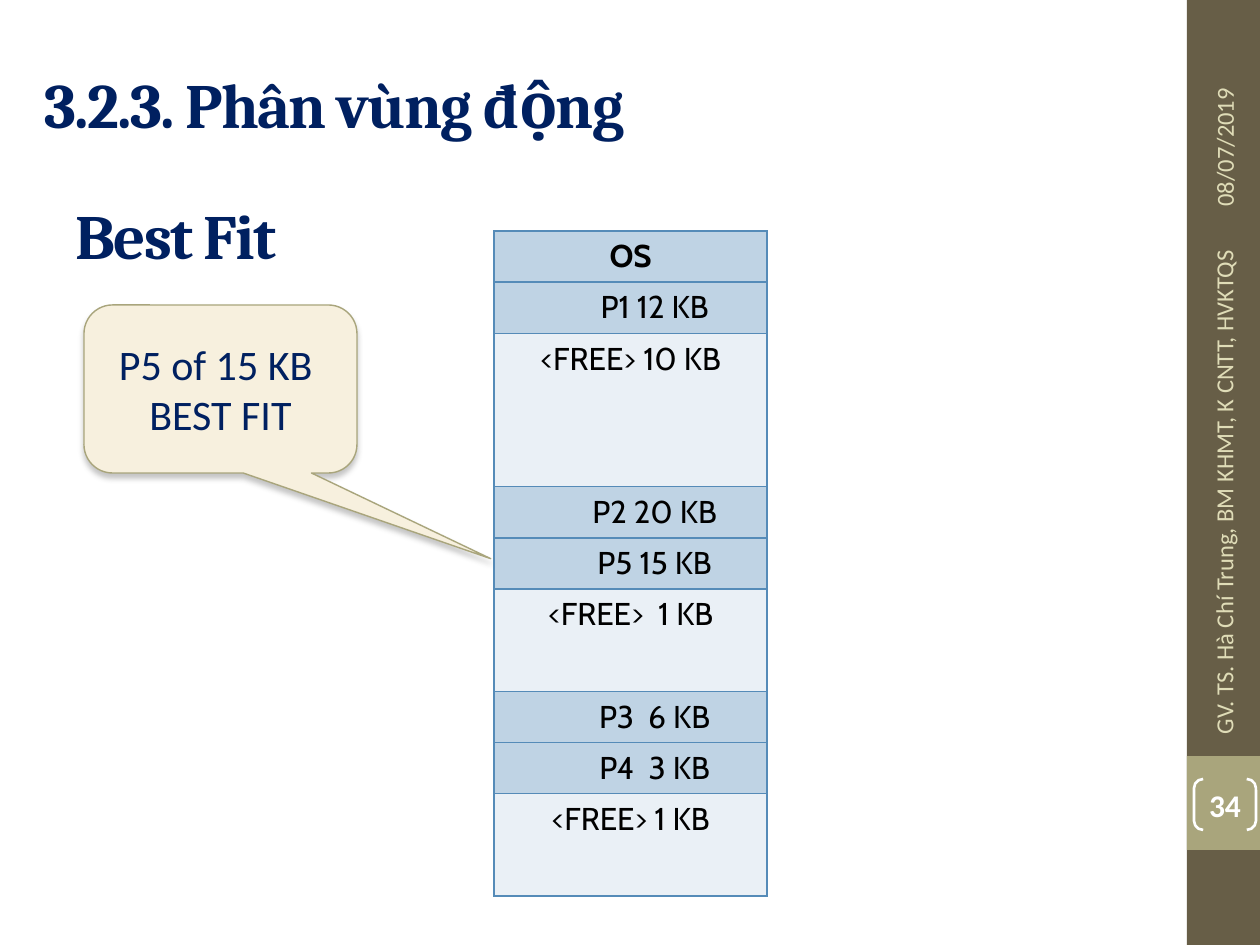
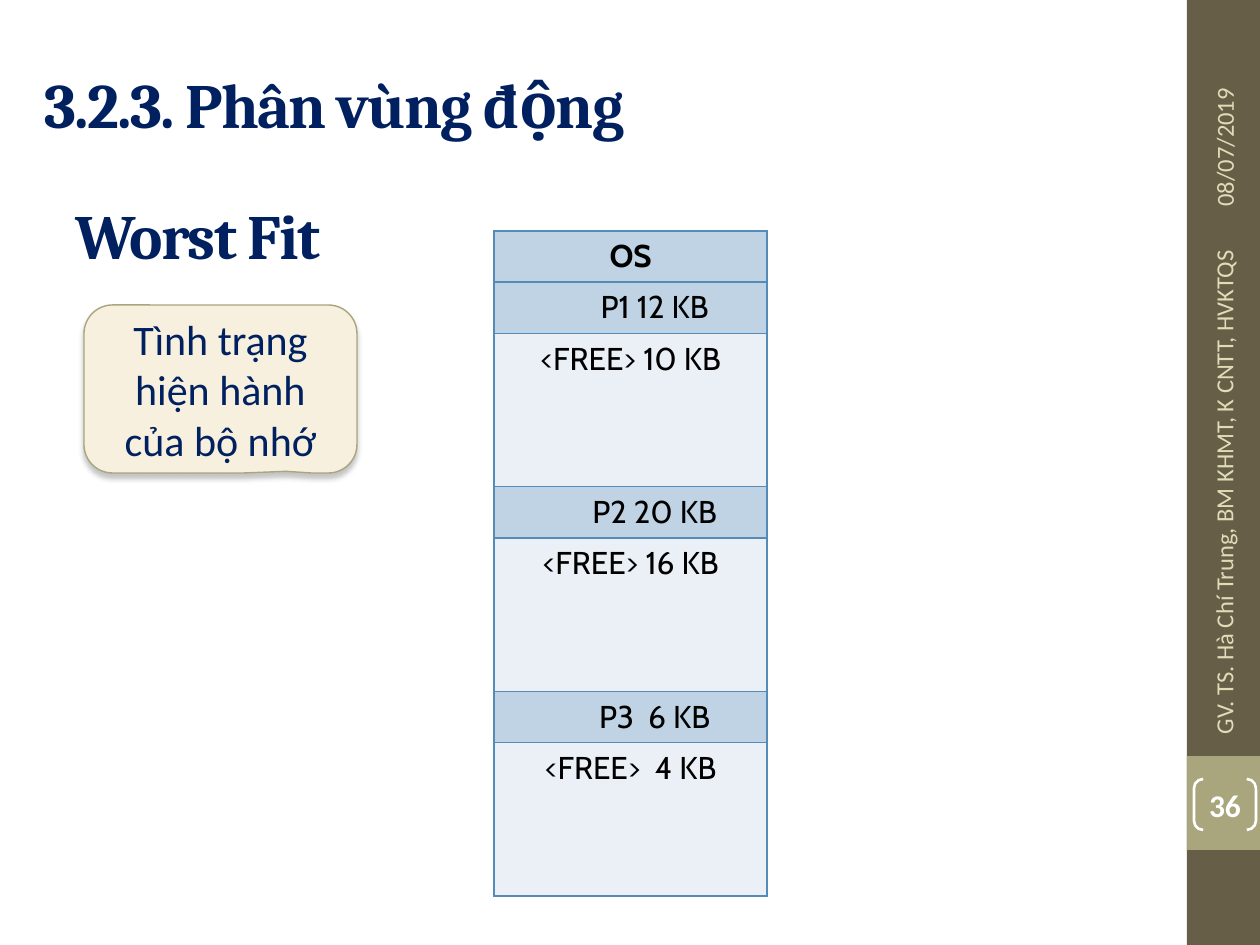
from lxml import etree
from pptx import Presentation
from pptx.dml.color import RGBColor
from pptx.enum.shapes import MSO_SHAPE
from pptx.enum.text import MSO_ANCHOR, PP_ALIGN
from pptx.oxml import parse_xml
from pptx.oxml.ns import nsdecls, qn
from pptx.util import Emu, Pt

RECT = MSO_SHAPE.RECTANGLE
BRACKETS = MSO_SHAPE.DOUBLE_BRACKET
CALLOUT = MSO_SHAPE.ROUNDED_RECTANGULAR_CALLOUT
LEFT, CENTER = PP_ALIGN.LEFT, PP_ALIGN.CENTER
TOP, MIDDLE = MSO_ANCHOR.TOP, MSO_ANCHOR.MIDDLE

PX_PER_INCH = 126
SLIDE_W, SLIDE_H = 1260, 945

NAVY, WHITE, BLACK = "002060", "FFFFFF", "000000"
BAND, ACCENT, FOOTER = "675E47", "A9A57C", "DFDCB7"
CREAM, USED, FREE, GRID = "F7F0DE", "BFD3E4", "EAF0F6", "558BB8"
HEADING_FONT, BODY_FONT, TABLE_FONT = "Cambria", "Calibri", "Cabin"

TITLE = "3.2.3. Phân vùng động"
DATE = "08/07/2019"
AUTHOR = "GV. TS. Hà Chí Trung, BM KHMT, K CNTT, HVKTQS"

# Each memory block: label, number of table rows it spans
SLIDES = [
    {
        "number": "34",
        "method": "Best Fit",
        "note": ["P5 of 15 KB ", "BEST FIT"],
        "pointer": (0.99, 1.01),
        "memory": [
            ("OS", 1), ("P1 12 KB", 1), ("<FREE> 10 KB", 3),
            ("P2 20 KB", 1), ("P5 15 KB", 1), ("<FREE>  1 KB", 2),
            ("P3  6 KB", 1), ("P4  3 KB", 1), ("<FREE> 1 KB", 2),
        ],
    },
    {
        "number": "36",
        "method": "Worst Fit",
        "note": ["Tình trạng hiện hành của bộ nhớ"],
        "pointer": (0.24, 0.49),
        "memory": [
            ("OS", 1), ("P1 12 KB", 1), ("<FREE> 10 KB", 3),
            ("P2 20 KB", 1), ("<FREE> 16 KB", 3),
            ("P3  6 KB", 1), ("<FREE>  4 KB", 3),
        ],
    },
]

TABLE_BOX = (494, 231, 273, 665)
CELL_MARGIN, PROCESS_MARGIN = 13, 61


def px(n):
    return Emu(round(n * 914400 / PX_PER_INCH))


def rgb(color):
    return RGBColor.from_string(color)


def write(tf, lines, font, size, color, bold=False, align=LEFT, anchor=MIDDLE, spacing=0):
    tf.text = "\n".join(lines)
    tf.word_wrap = True
    tf.vertical_anchor = anchor
    for p in tf.paragraphs:
        p.alignment = align
        for r in p.runs:
            r.font.name = font
            r.font.size = Pt(size)
            r.font.bold = bold
            r.font.color.rgb = rgb(color)
            if spacing:
                r._r.get_or_add_rPr().set("spc", str(spacing * 100))


def add_text(s, box, text, *style, rotation=0, **options):
    sp = s.shapes.add_textbox(*map(px, box))
    sp.rotation = rotation
    write(sp.text_frame, [text], *style, **options)


def add_shape(s, kind, box, fill=None, line=None, width=1):
    sp = s.shapes.add_shape(kind, *map(px, box))
    sp.shadow.inherit = False
    if fill:
        sp.fill.solid()
        sp.fill.fore_color.rgb = rgb(fill)
    else:
        sp.fill.background()
    if line:
        sp.line.color.rgb = rgb(line)
        sp.line.width = Pt(width)
    else:
        sp.line.fill.background()
    return sp


def add_heading(s, box, text):
    add_text(s, box, text, HEADING_FONT, 36, NAVY, bold=True, spacing=-1)


def add_side_band(s, number):
    add_shape(s, RECT, (1187, 0, 73, SLIDE_H), BAND)
    add_shape(s, RECT, (1187, 756, 73, 94), ACCENT)
    for box, text in [((1114, 84, 220, 50), DATE), ((961, 459, 525, 50), AUTHOR)]:
        add_text(s, box, text, BODY_FONT, 14, FOOTER, rotation=270)
    sp = add_shape(s, BRACKETS, (1194, 779, 62, 51), line=WHITE, width=1.5)
    sp.adjustments[0] = 0.18
    tf = sp.text_frame
    tf.margin_left = tf.margin_right = tf.margin_top = tf.margin_bottom = 0
    write(tf, [number], BODY_FONT, 18, WHITE, bold=True, align=CENTER)


def set_borders(cell, top, bottom):
    """Draw the side borders, and the top and bottom ones where asked."""
    tcPr = cell._tc.get_or_add_tcPr()
    sides = [("lnL", True), ("lnR", True), ("lnT", top), ("lnB", bottom)]
    for i, (tag, drawn) in enumerate(sides):
        ln = parse_xml(f'<a:{tag} {nsdecls("a")} w="{Pt(1)}"/>')
        if drawn:
            fill = etree.SubElement(ln, qn("a:solidFill"))
            etree.SubElement(fill, qn("a:srgbClr"), val=GRID)
        else:
            etree.SubElement(ln, qn("a:noFill"))
        tcPr.insert(i, ln)


def add_memory_map(s, blocks):
    rows = sum(span for _, span in blocks)
    table = s.shapes.add_table(rows, 1, *map(px, TABLE_BOX)).table
    table.first_row = table.horz_banding = False
    for row in table.rows:
        row.height = px(TABLE_BOX[3] / rows)
    first = 0
    for label, span in blocks:
        is_free = label.startswith("<FREE>")
        for i in range(span):
            cell = table.cell(first + i, 0)
            cell.fill.solid()
            cell.fill.fore_color.rgb = rgb(FREE if is_free else USED)
            set_borders(cell, top=i == 0, bottom=i == span - 1)
        cell = table.cell(first, 0)
        is_process = label.startswith("P")
        cell.margin_left = px(PROCESS_MARGIN if is_process else CELL_MARGIN)
        write(cell.text_frame, [label], TABLE_FONT, 18, BLACK,
              bold=label == "OS", align=CENTER, anchor=TOP)
        first += span


def add_note(s, lines, pointer):
    sp = add_shape(s, CALLOUT, (84, 305, 273, 168), CREAM, ACCENT, 0.79)
    for i, value in enumerate((*pointer, 0.17)):
        sp.adjustments[i] = value
    effects = sp._element.spPr.find(qn("a:effectLst"))
    effects.append(parse_xml(
        f'<a:outerShdw {nsdecls("a")} blurRad="{Pt(3)}" dist="{Pt(2.4)}" dir="5400000" '
        'rotWithShape="0"><a:srgbClr val="808080"><a:alpha val="45000"/></a:srgbClr>'
        '</a:outerShdw>'))
    write(sp.text_frame, lines, BODY_FONT, 24, NAVY, align=CENTER)


def main():
    prs = Presentation()
    prs.slide_width, prs.slide_height = px(SLIDE_W), px(SLIDE_H)
    for content in SLIDES:
        s = prs.slides.add_slide(prs.slide_layouts[6])
        add_side_band(s, content["number"])
        add_memory_map(s, content["memory"])
        add_note(s, content["note"], content["pointer"])
        add_heading(s, (32, 38, 1124, 130), TITLE)
        add_heading(s, (63, 179, 368, 110), content["method"])
    prs.save("out.pptx")


if __name__ == "__main__":
    main()
